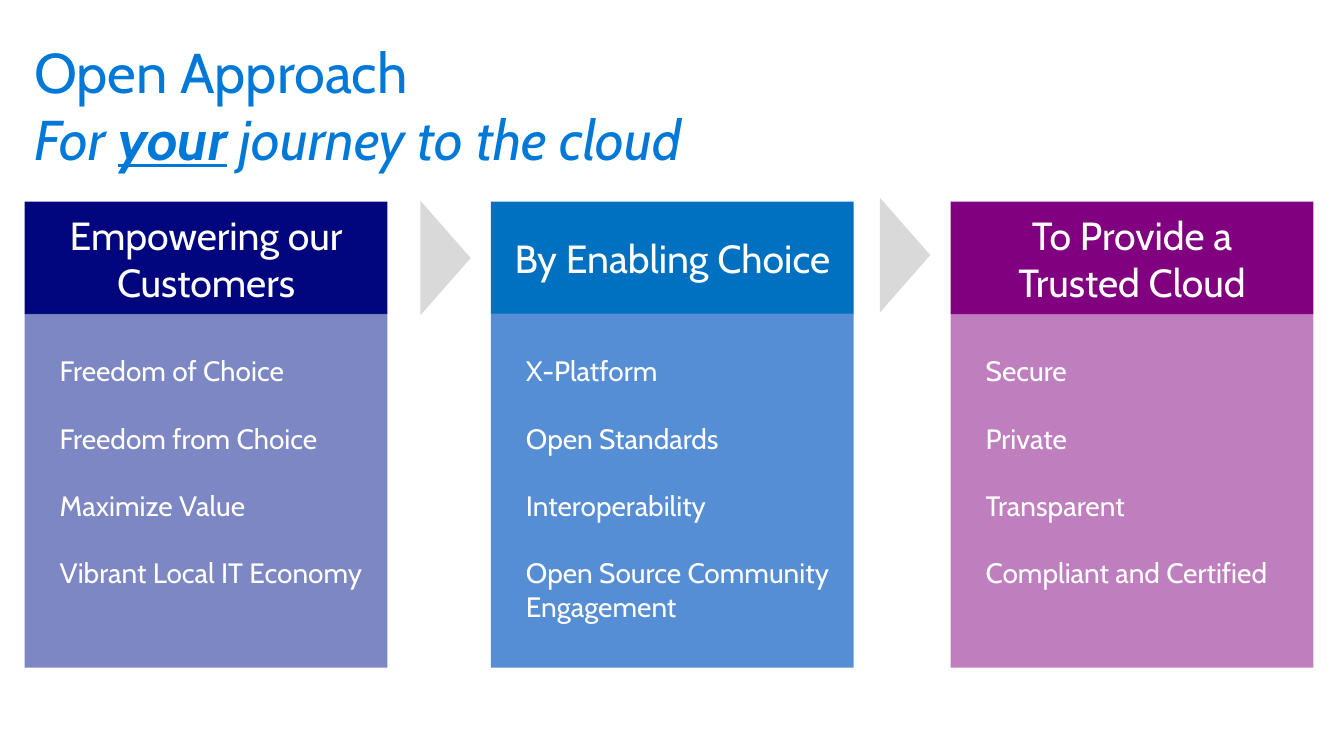
import pptx
import pptx.dml.color
import pptx.enum.shapes
import pptx.enum.text
import pptx.util
from lxml import etree

Pt = pptx.util.Pt
SHAPE = pptx.enum.shapes.MSO_SHAPE
ANCHOR = pptx.enum.text.MSO_ANCHOR
ALIGN = pptx.enum.text.PP_ALIGN

FONT = "Cabin"
WHITE, BLUE, GREY = "FFFFFF", "0078D7", "D9D9D9"
COLUMN_W = 259.2
HEADER_TOP, HEADER_H = 144, 80.5
BODY_TOP, BODY_H = 224, 253
ARROW_W, ARROW_H = 82, 36

# Left edge, header, header side inset, header fill, body fill, body opacity, items
COLUMNS = [
    (17.6, "Empowering our Customers", 7.2, "02067E", "26389E", 60,
     ["Freedom of Choice", "Freedom from Choice", "Maximize Value",
      "Vibrant Local IT Economy"]),
    (350.6, "By Enabling Choice", 7.2, "0070C0", "558ED5", 100,
     ["X-Platform", "Open Standards", "Interoperability",
      "Open Source Community Engagement"]),
    (679, "To Provide a Trusted Cloud", 28.8, "800080", "800080", 50,
     ["Secure", "Private", "Transparent", "Compliant and Certified"]),
]
ARROWS = [(277.2, 166.3), (605.5, 164.2)]


def rgb(color):
    return pptx.dml.color.RGBColor.from_string(color)


def add_text(p, text, size=20, color=WHITE, bold=False, italic=False,
             underline=False):
    r = p.add_run()
    r.text = text
    font = r.font
    font.name, font.size = FONT, Pt(size)
    font.bold, font.italic, font.underline = bold, italic, underline
    font.color.rgb = rgb(color)


def set_frame(tf, anchor, side=7.2, top=3.6):
    tf.word_wrap = True
    tf.vertical_anchor = anchor
    tf.margin_left = tf.margin_right = Pt(side)
    tf.margin_top, tf.margin_bottom = Pt(top), Pt(3.6)


def add_block(s, kind, x, y, w, h, fill, opacity=100):
    sp = s.shapes.add_shape(kind, Pt(x), Pt(y), Pt(w), Pt(h))
    sp.shadow.inherit = False
    sp.line.fill.background()
    sp.fill.solid()
    sp.fill.fore_color.rgb = rgb(fill)
    if opacity < 100:
        clr = sp.fill._xPr.find(".//" + pptx.oxml.ns.qn("a:srgbClr"))
        alpha = etree.SubElement(clr, pptx.oxml.ns.qn("a:alpha"))
        alpha.set("val", str(opacity * 1000))
    return sp


def add_title(s):
    sp = s.shapes.add_textbox(Pt(17.3), Pt(23), Pt(864), Pt(100))
    set_frame(sp.text_frame, ANCHOR.TOP)
    p = sp.text_frame.paragraphs[0]
    add_text(p, "Open Approach", size=40, color=BLUE)
    p.add_line_break()
    add_text(p, "For ", size=40, color=BLUE, italic=True)
    add_text(p, "your", size=40, color=BLUE, italic=True, bold=True,
             underline=True)
    add_text(p, " journey to the cloud", size=40, color=BLUE, italic=True)


def add_header(s, x, text, side, fill):
    sp = add_block(s, SHAPE.RECTANGLE, x, HEADER_TOP, COLUMN_W, HEADER_H, fill)
    set_frame(sp.text_frame, ANCHOR.MIDDLE, side=side)
    p = sp.text_frame.paragraphs[0]
    p.alignment = ALIGN.CENTER
    add_text(p, text, size=28)


def add_body(s, x, items, fill, opacity):
    sp = add_block(s, SHAPE.RECTANGLE, x, BODY_TOP, COLUMN_W, BODY_H, fill,
                   opacity)
    tf = sp.text_frame
    set_frame(tf, ANCHOR.TOP, top=28.8)
    for i, item in enumerate(items):
        p = tf.add_paragraph() if i else tf.paragraphs[0]
        p.alignment = ALIGN.LEFT
        p._p.get_or_add_pPr().set("marL", str(Pt(18)))
        if i:
            p.space_before = Pt(24)
        add_text(p, item)


def main():
    prs = pptx.Presentation()
    prs.slide_width, prs.slide_height = Pt(960), Pt(540)
    s = prs.slides.add_slide(prs.slide_layouts[6])

    # Title
    add_title(s)

    # Three columns
    for x, header, side, header_fill, body_fill, opacity, items in COLUMNS:
        add_header(s, x, header, side, header_fill)
        add_body(s, x, items, body_fill, opacity)

    # Arrows between the columns
    for x, y in ARROWS:
        sp = add_block(s, SHAPE.ISOSCELES_TRIANGLE, x, y, ARROW_W, ARROW_H, GREY)
        sp.rotation = 90

    prs.save("out.pptx")


if __name__ == "__main__":
    main()
